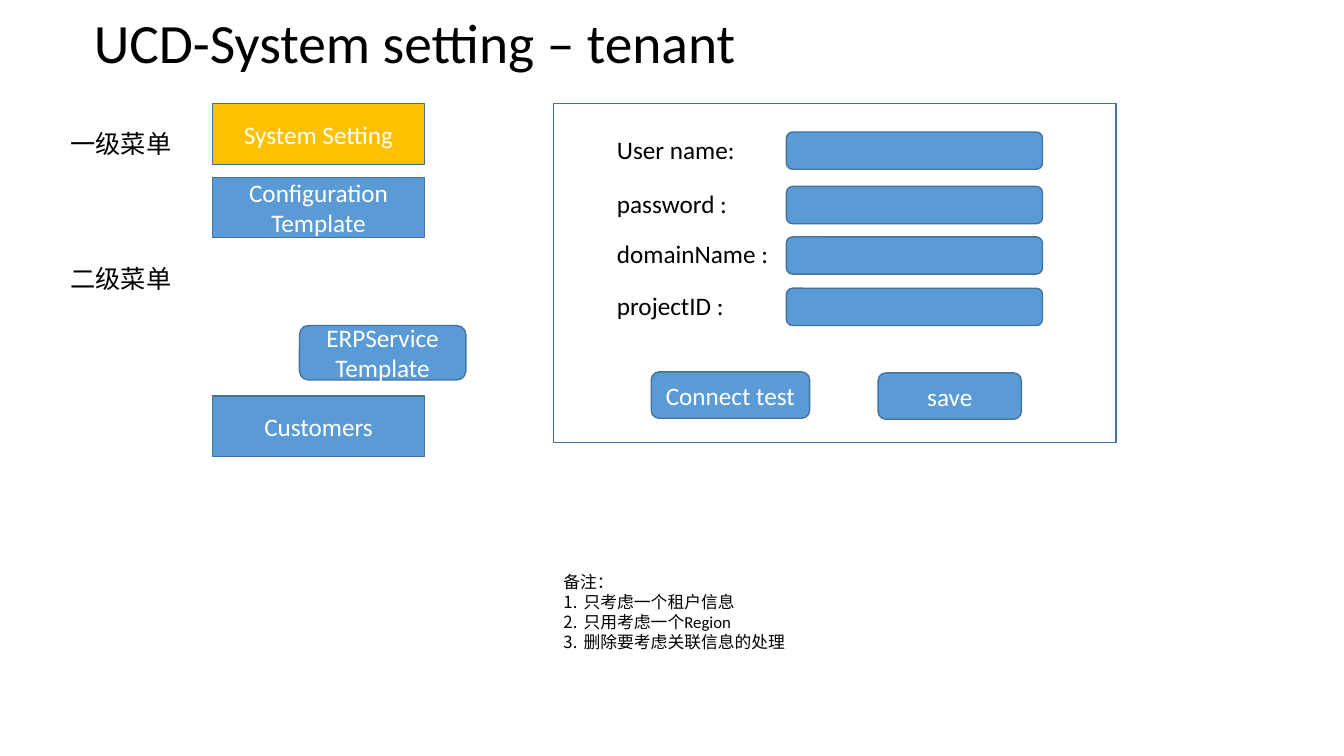
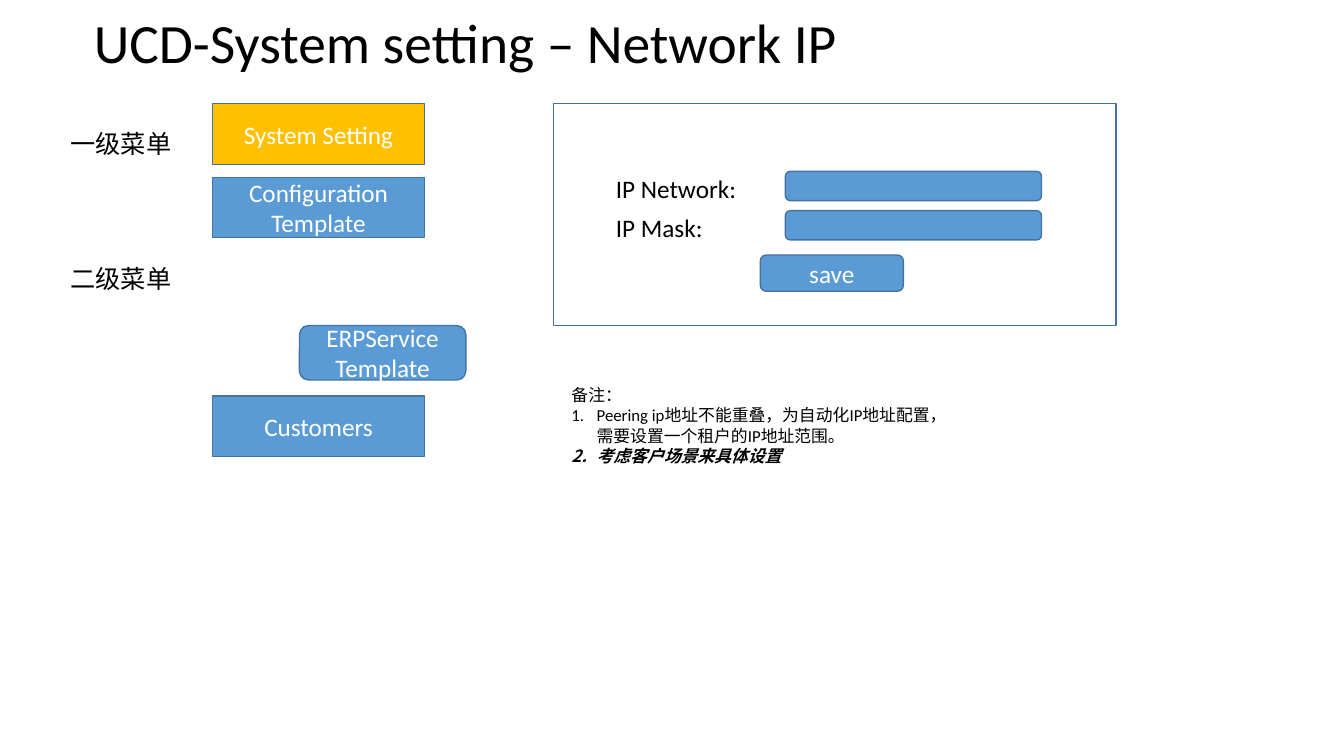
import pptx
import pptx.util
import pptx.dml.color
import pptx.enum.shapes
import pptx.enum.text
import pptx.oxml
import pptx.oxml.ns

Inches = pptx.util.Inches
Pt = pptx.util.Pt
RGB = pptx.dml.color.RGBColor.from_string
SHAPE = pptx.enum.shapes.MSO_SHAPE
ANCHOR = pptx.enum.text.MSO_ANCHOR
ALIGN = pptx.enum.text.PP_ALIGN

FONT = "Calibri"
COLORS = {
    "text": "000000",
    "on_fill": "FFFFFF",
    "active": "FFC000",
    "control": "5B9BD5",
    "outline": "43739E",
}

PANEL_LEFT, PANEL_TOP, PANEL_WIDTH = 5.49, 1.03, 5.58
LABEL_WIDTH, LABEL_HEIGHT = 1.75, 0.4
FIELD_OFFSET, FIELD_WIDTH = 1.78, 2.54
FIELD_DROP = 0.03

# text, preset, fill, left, top, width, height
MENU = [
    ("System Setting", SHAPE.RECTANGLE, "active", 2.11, 1.03, 2.1, 0.6),
    ("Configuration Template", SHAPE.RECTANGLE, "control", 2.11, 1.76, 2.1, 0.6),
    ("ERPService Template", SHAPE.ROUNDED_RECTANGLE, "control", 2.97, 3.23, 1.65, 0.54),
    ("Customers", SHAPE.RECTANGLE, "control", 2.11, 3.93, 2.1, 0.6),
]
MENU_LEVELS = [("一级菜单", 1.22), ("二级菜单", 2.56)]

SCREENS = [
    {
        "title": "UCD-System setting – tenant",
        "panel_height": 3.36,
        "form_left": 6.02,
        "field_height": 0.37,
        "fields": [("User name:", 1.28), ("password :", 1.82),
                   ("domainName :", 2.32), ("projectID :", 2.83)],
        "buttons": [("Connect test", 6.46, 3.69, 1.57, 0.46),
                    ("save", 8.71, 3.7, 1.42, 0.46)],
        "notes_at": (5.49, 5.62),
        "notes_indent": 0.2,
        "notes": [("只考虑一个租户信息", False),
                  ("只用考虑一个Region", False),
                  ("删除要考虑关联信息的处理", False)],
    },
    {
        "title": "UCD-System setting – Network IP",
        "panel_height": 2.2,
        "form_left": 6.01,
        "field_height": 0.29,
        "fields": [("IP Network:", 1.67), ("IP Mask:", 2.06)],
        "buttons": [("save", 7.54, 2.53, 1.42, 0.36)],
        "notes_at": (5.57, 3.77),
        "notes_indent": 0.25,
        "notes": [("Peering ip地址不能重叠，为自动化IP地址配置，需要设置一个租户的IP地址范围。", False),
                  ("考虑客户场景来具体设置", True)],
    },
]


def write(paragraph, text, size=18, color="text", align=ALIGN.LEFT,
          emphasis=False, number_indent=None):
    """Add a formatted run; number_indent makes the paragraph a numbered item."""
    paragraph.alignment = align
    run = paragraph.add_run()
    run.text = text
    run.font.name = FONT
    run.font.size = Pt(size)
    run.font.color.rgb = RGB(COLORS[color])
    if emphasis:
        run.font.bold = run.font.italic = True
    if number_indent:
        properties = paragraph._p.get_or_add_pPr()
        properties.set("marL", str(Inches(number_indent)))
        properties.set("indent", str(-Inches(number_indent)))
        properties.append(pptx.oxml.parse_xml(
            f'<a:buAutoNum {pptx.oxml.ns.nsdecls("a")} type="arabicPeriod"/>'))


def add_box(slide, preset, left, top, width, height, fill=None, text=None):
    box = slide.shapes.add_shape(
        preset, Inches(left), Inches(top), Inches(width), Inches(height))
    box.shadow.inherit = False
    box.line.color.rgb = RGB(COLORS["outline"])
    box.line.width = Pt(1)
    if fill:
        box.fill.solid()
        box.fill.fore_color.rgb = RGB(COLORS[fill])
    else:
        box.fill.background()
    if text:
        box.text_frame.vertical_anchor = ANCHOR.MIDDLE
        write(box.text_frame.paragraphs[0], text, color="on_fill", align=ALIGN.CENTER)


deck = pptx.Presentation()
deck.slide_width, deck.slide_height = Inches(13.33), Inches(7.5)
title_only = deck.slide_layouts[5]

for screen in SCREENS:
    slide = deck.slides.add_slide(title_only)

    title = slide.shapes.title
    title.left, title.top = Inches(0.83), Inches(0.12)
    title.width, title.height = Inches(11.5), Inches(0.66)
    title.text_frame.auto_size = pptx.enum.text.MSO_AUTO_SIZE.NONE
    title.text_frame.vertical_anchor = ANCHOR.MIDDLE
    heading = title.text_frame.paragraphs[0]
    heading.line_spacing = 0.9
    write(heading, screen["title"], size=39.6)

    for text, preset, fill, *place in MENU:
        add_box(slide, preset, *place, fill=fill, text=text)

    add_box(slide, SHAPE.RECTANGLE, PANEL_LEFT, PANEL_TOP,
            PANEL_WIDTH, screen["panel_height"])

    form_left = screen["form_left"]
    labels = [(text, 0.6, top) for text, top in MENU_LEVELS]
    labels += [(text, form_left, top) for text, top in screen["fields"]]
    for text, left, top in labels:
        label = slide.shapes.add_textbox(
            Inches(left), Inches(top), Inches(LABEL_WIDTH), Inches(LABEL_HEIGHT))
        label.text_frame.word_wrap = True
        write(label.text_frame.paragraphs[0], text)

    for _, top in screen["fields"]:
        add_box(slide, SHAPE.ROUNDED_RECTANGLE, form_left + FIELD_OFFSET,
                top + FIELD_DROP, FIELD_WIDTH, screen["field_height"], fill="control")

    for text, *place in screen["buttons"]:
        add_box(slide, SHAPE.ROUNDED_RECTANGLE, *place, fill="control", text=text)

    left, top = screen["notes_at"]
    remarks = slide.shapes.add_textbox(
        Inches(left), Inches(top), Inches(3.94), Inches(0.91)).text_frame
    remarks.word_wrap = True
    write(remarks.paragraphs[0], "备注：", size=12)
    for text, emphasis in screen["notes"]:
        write(remarks.add_paragraph(), text, size=12, emphasis=emphasis,
              number_indent=screen["notes_indent"])

deck.save("out.pptx")
